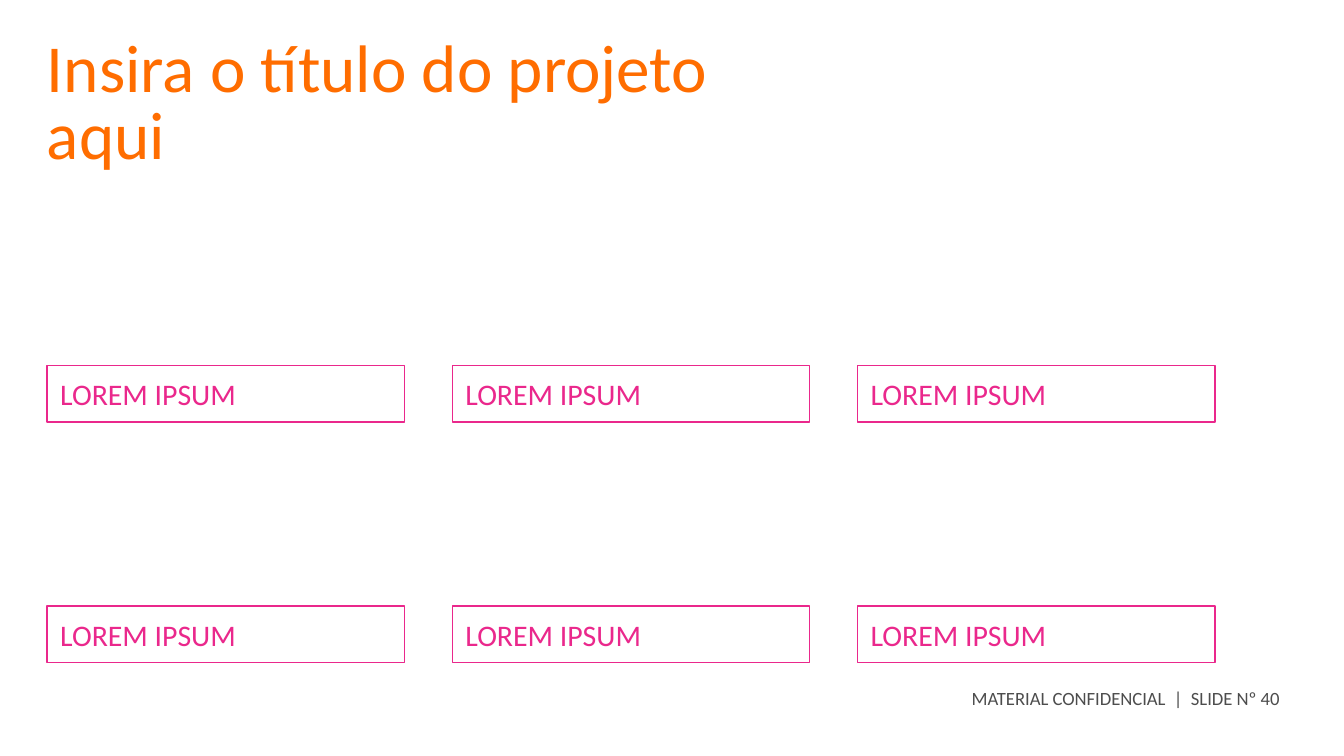
from pptx import Presentation
from pptx.dml.color import RGBColor
from pptx.enum import shapes, text
from pptx.util import Inches, Pt

ORANGE = RGBColor(0xFF, 0x6D, 0x00)
PINK = RGBColor(0xEA, 0x28, 0x8C)
GRAY = RGBColor(0x4D, 0x4D, 0x4D)
FONT = "Calibri"


def write(shape, content, *, size, color, inset=0, anchor=text.MSO_ANCHOR.TOP,
          line_spacing=None):
    frame = shape.text_frame
    frame.word_wrap = True
    frame.vertical_anchor = anchor
    frame.margin_left = frame.margin_right = Inches(inset)
    frame.margin_top = frame.margin_bottom = 0
    paragraph = frame.paragraphs[0]
    paragraph.alignment = text.PP_ALIGN.LEFT
    if line_spacing:
        paragraph.line_spacing = Pt(line_spacing)
    run = paragraph.add_run()
    run.text = content
    run.font.name = FONT
    run.font.size = Pt(size)
    run.font.color.rgb = color


def add_title(slide, left, top, width, height):
    title = slide.shapes.add_textbox(
        Inches(left), Inches(top), Inches(width), Inches(height))
    write(title, "Insira o título do projeto aqui", size=36, color=ORANGE,
          line_spacing=36)


def add_footer(slide, left, top, width, height):
    footer = slide.shapes.add_textbox(
        Inches(left), Inches(top), Inches(width), Inches(height))
    write(footer, "MATERIAL CONFIDENCIAL  |  SLIDE Nº 40", size=10, color=GRAY)


def add_label(slide, content, left, top, width, height):
    label = slide.shapes.add_shape(
        shapes.MSO_SHAPE.RECTANGLE,
        Inches(left), Inches(top), Inches(width), Inches(height))
    label.shadow.inherit = False
    label.fill.background()
    label.line.color.rgb = PINK
    label.line.width = Pt(0.75)
    write(label, content, size=16, color=PINK, inset=0.1,
          anchor=text.MSO_ANCHOR.MIDDLE)


def add_label_grid(slide, rows, left, top, width, height):
    """Spread the labels so that the outer ones touch the edges of the box."""
    label_width, label_height = 2.66, 0.42
    column_step = (width - label_width) / (len(rows[0]) - 1)
    row_step = (height - label_height) / (len(rows) - 1)
    for row, labels in enumerate(rows):
        for column, content in enumerate(labels):
            add_label(slide, content, left + column * column_step,
                      top + row * row_step, label_width, label_height)


def main():
    deck = Presentation()
    deck.slide_width = Inches(10)
    deck.slide_height = deck.slide_width * 9 // 16
    slide = deck.slides.add_slide(deck.slide_layouts[6])
    add_footer(slide, 7.23, 5.11, 2.33, 0.3)
    add_title(slide, 0.35, 0.29, 5.67, 0.92)
    add_label_grid(slide, [["LOREM IPSUM"] * 3] * 2, 0.35, 2.72, 8.69, 2.21)
    deck.save("out.pptx")


if __name__ == "__main__":
    main()
